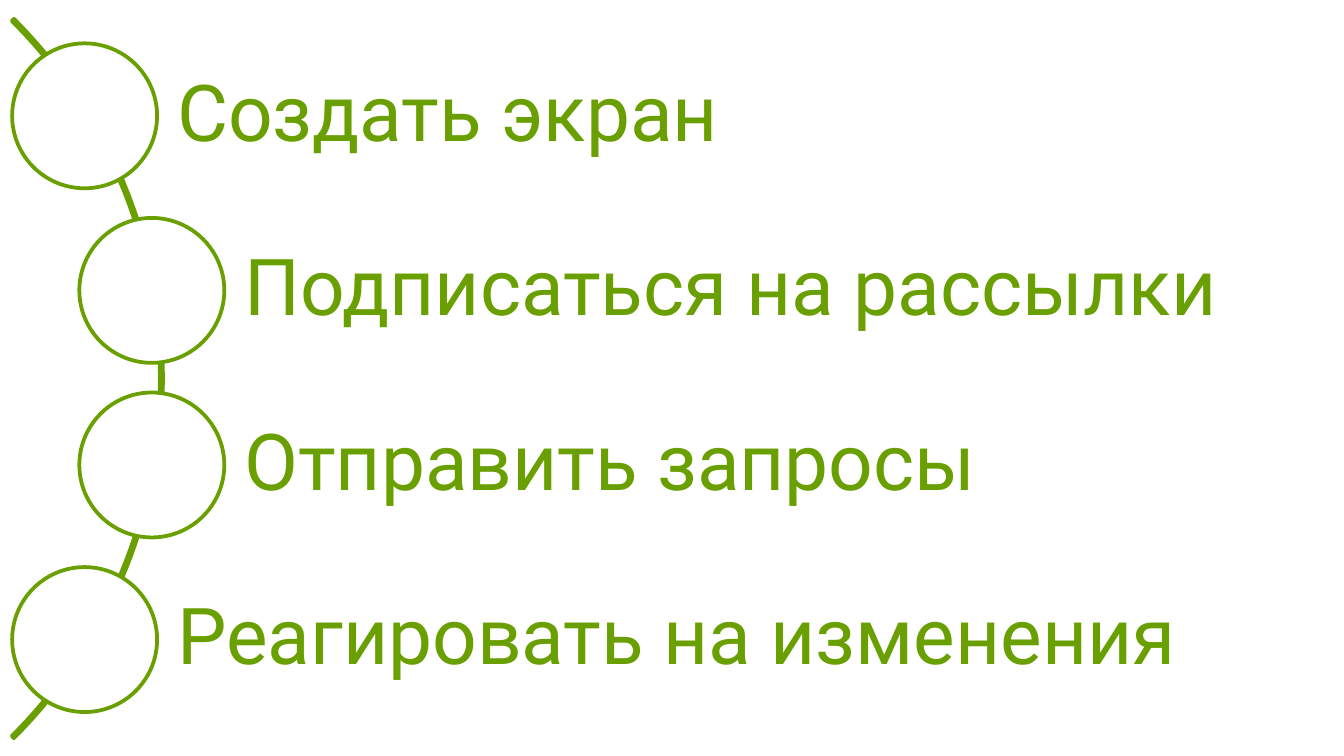
from pptx import Presentation
from pptx.dml.color import RGBColor
from pptx.enum.shapes import MSO_SHAPE as Preset
from pptx.enum.text import MSO_ANCHOR as Anchor, PP_ALIGN as Align
from pptx.util import Cm, Pt

GREEN = RGBColor(0x69, 0x9F, 0x00)
WHITE = RGBColor(0xFF, 0xFF, 0xFF)
FONT = "Roboto"

# Step text and the horizontal centre of its circle, in centimetres
STEPS = [
    ("Создать экран", 1.6),
    ("Подписаться на рассылки", 2.87),
    ("Отправить запросы", 2.87),
    ("Реагировать на изменения", 1.6),
]
FIRST_CENTRE, STEP_PITCH = 2.19, 3.3
CIRCLE_SIZE, LABEL_HEIGHT, LABEL_RIGHT = 2.74, 2.21, 25.2
ARC_SIZE = 19.23


def add_white_shape(slide, preset, left, top, width, height, outlined=True):
    """Add a white preset shape, with a green outline if wanted."""
    shape = slide.shapes.add_shape(preset, Cm(left), Cm(top), Cm(width), Cm(height))
    shape.shadow.inherit = False
    shape.fill.solid()
    shape.fill.fore_color.rgb = WHITE
    if outlined:
        shape.line.color.rgb = GREEN
        shape.line.width = Pt(2)
    else:
        shape.line.fill.background()
    return shape


def add_arc(slide):
    """Add the thin arc that links the circles."""
    arc = add_white_shape(slide, Preset.BLOCK_ARC, -16.15, -2.46, ARC_SIZE, ARC_SIZE)
    for index, value in enumerate((189, 27, 0.003)):
        arc.adjustments[index] = value


def add_label(slide, text, left, centre):
    """Add the text bar of a step."""
    label = add_white_shape(slide, Preset.RECTANGLE, left, centre - LABEL_HEIGHT / 2,
                            LABEL_RIGHT - left, LABEL_HEIGHT, outlined=False)
    frame = label.text_frame
    frame.word_wrap = True
    frame.vertical_anchor = Anchor.MIDDLE
    frame.margin_left = Cm(1.75)
    frame.margin_right = frame.margin_top = frame.margin_bottom = Cm(0.3)
    paragraph = frame.paragraphs[0]
    paragraph.text = text
    paragraph.alignment = Align.LEFT
    paragraph.line_spacing = 0.9
    paragraph.font.name = FONT
    paragraph.font.size = Pt(42)
    paragraph.font.color.rgb = GREEN


def add_step(slide, text, centre_x, centre_y):
    """Add a step: its text bar with the circle in front."""
    add_label(slide, text, centre_x, centre_y)
    radius = CIRCLE_SIZE / 2
    add_white_shape(slide, Preset.OVAL, centre_x - radius, centre_y - radius,
                    CIRCLE_SIZE, CIRCLE_SIZE)


def main():
    """Build the slide and save it."""
    presentation = Presentation()
    presentation.slide_width, presentation.slide_height = Cm(25.4), Cm(14.29)
    slide = presentation.slides.add_slide(presentation.slide_layouts[6])
    add_arc(slide)
    for index, (text, centre_x) in enumerate(STEPS):
        add_step(slide, text, centre_x, FIRST_CENTRE + index * STEP_PITCH)
    presentation.save("out.pptx")


main()
